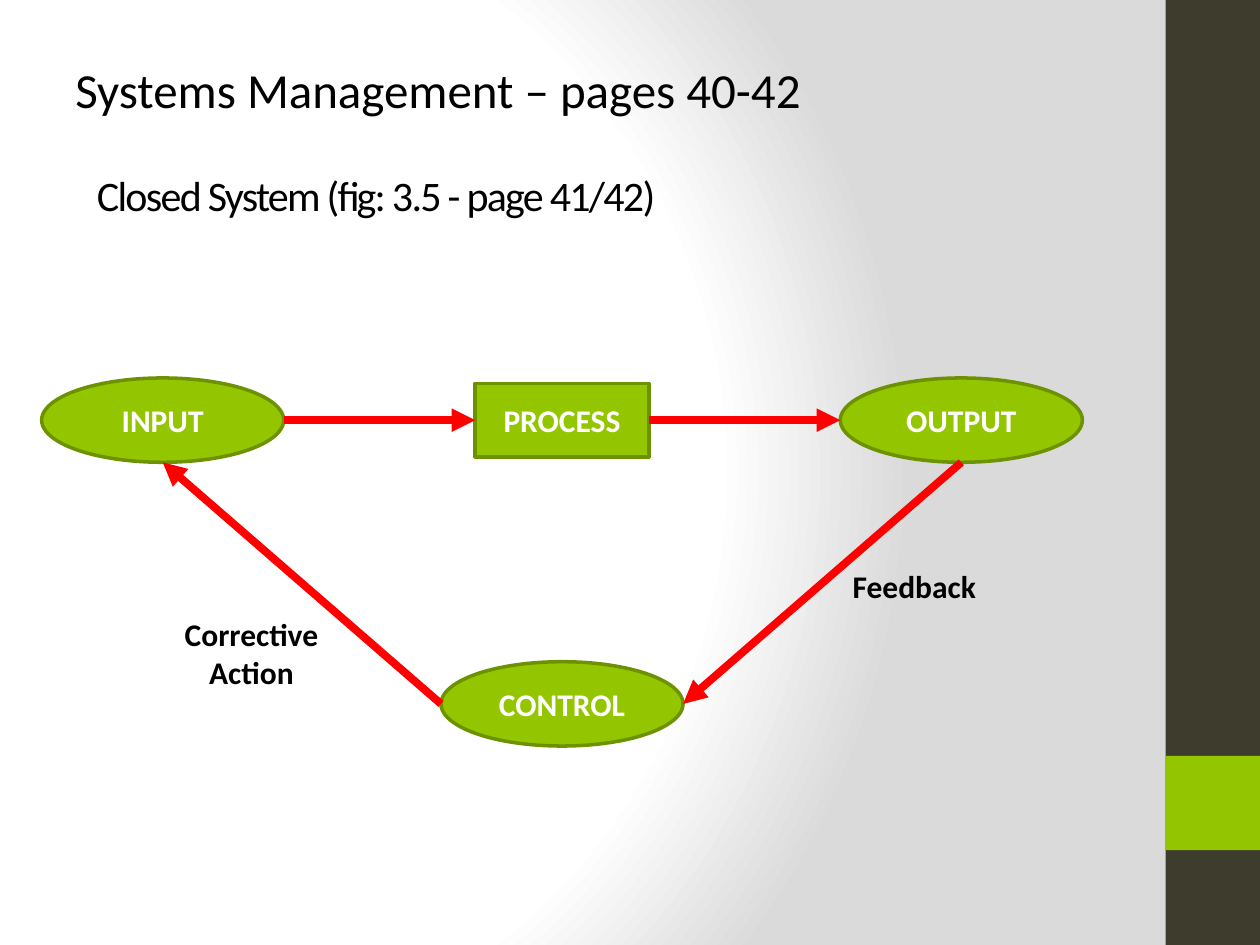
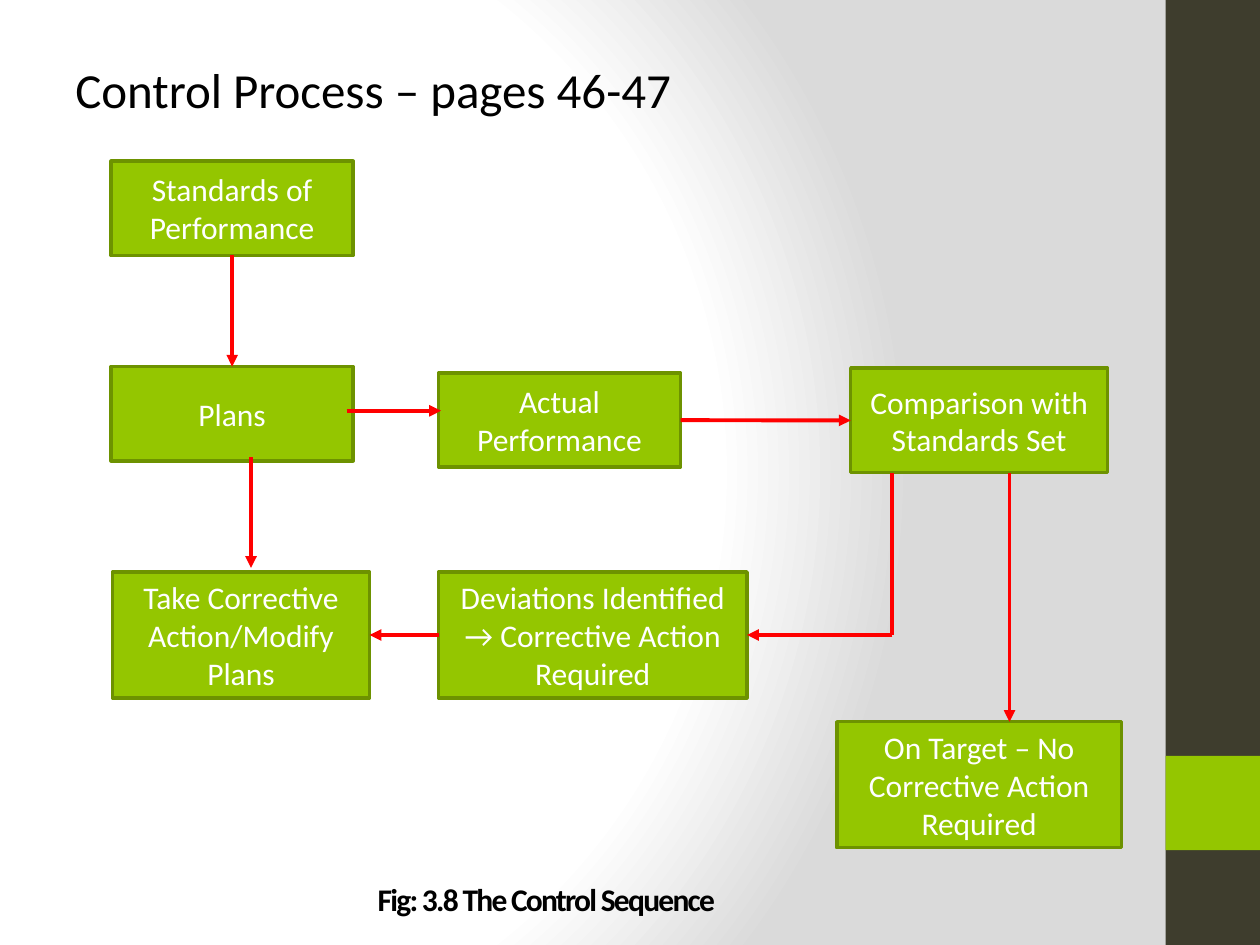
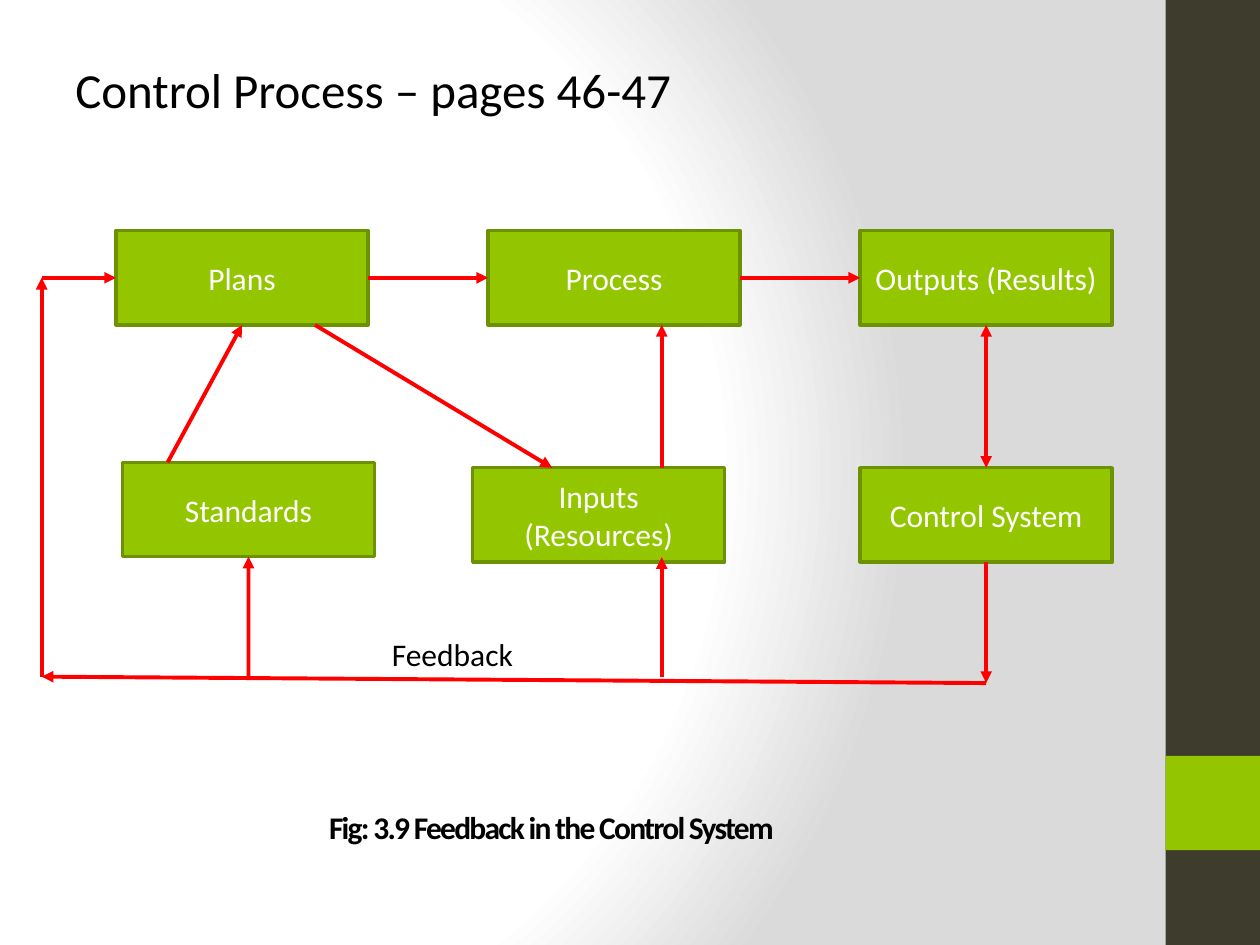
from dataclasses import dataclass

from lxml import etree
from pptx import Presentation
from pptx import util as u
from pptx.dml.color import RGBColor
from pptx.enum import shapes, text
from pptx.oxml import parse_xml
from pptx.oxml.ns import nsdecls, qn

RECT, OVAL = shapes.MSO_SHAPE.RECTANGLE, shapes.MSO_SHAPE.OVAL
LEFT, CENTER = text.PP_ALIGN.LEFT, text.PP_ALIGN.CENTER
TOP, MIDDLE = text.MSO_ANCHOR.TOP, text.MSO_ANCHOR.MIDDLE
# Connection sites of a rectangle
N, W, S, E = range(4)


@dataclass(frozen=True)
class Theme:
    font: str = "Calibri"
    ink: str = "000000"
    paper: str = "FFFFFF"
    shade: str = "DADADA"
    band: str = "3E3D2D"
    accent: str = "94C600"
    outline: str = "6D9200"
    arrow: str = "FF0000"
    heading: int = 28
    subtitle: int = 24
    body: int = 18
    outline_width: float = 2
    arrow_width: float = 2.25
    arrow_heavy: float = 4.5


@dataclass(frozen=True)
class Box:
    left: float
    top: float
    width: float
    height: float

    def lengths(self):
        return [u.Cm(v) for v in (self.left, self.top, self.width, self.height)]


THEME = Theme()
PAGE = Box(0, 0, 25.4, 19.05)
HEADING = Box(1.27, 1.07, 17.58, 2.11)


def rgb(color):
    return RGBColor.from_string(color)


def write(tf, content, *, size=THEME.body, color=THEME.ink, bold=False,
          align=LEFT, anchor=TOP, tracking=0, wrap=True):
    tf.word_wrap = wrap
    tf.auto_size = text.MSO_AUTO_SIZE.NONE
    tf.vertical_anchor = anchor
    for i, line in enumerate(content.split("\n")):
        p = tf.paragraphs[0] if i == 0 else tf.add_paragraph()
        p.alignment = align
        p.space_before = u.Pt(0)
        r = p.add_run()
        r.text = line
        r.font.name, r.font.size, r.font.bold = THEME.font, u.Pt(size), bold
        r.font.color.rgb = rgb(color)
        if tracking:
            r.font._element.set("spc", str(tracking * 100))


def add_text(slide, box, content, **fmt):
    write(slide.shapes.add_textbox(*box.lengths()).text_frame, content, **fmt)


def add_block(slide, box, fill, kind=RECT, outline=None):
    sp = slide.shapes.add_shape(kind, *box.lengths())
    sp.shadow.inherit = False
    sp.fill.solid()
    sp.fill.fore_color.rgb = rgb(fill)
    if outline:
        sp.line.color.rgb = rgb(outline)
        sp.line.width = u.Pt(THEME.outline_width)
    else:
        sp.line.fill.background()
    return sp


def style_background(master):
    master.background.fill.solid()
    solid = master.element.xpath("p:cSld/p:bg/p:bgPr/a:solidFill")[0]
    stops = "".join(
        f'<a:gs pos="{pos * 1000}"><a:srgbClr val="{color}"/></a:gs>'
        for pos, color in ((0, THEME.paper), (75, THEME.paper), (100, THEME.shade)))
    solid.getparent().replace(solid, parse_xml(
        f'<a:gradFill {nsdecls("a")} rotWithShape="1"><a:gsLst>{stops}</a:gsLst>'
        '<a:path path="circle"><a:fillToRect l="20000" t="50000" r="100000" b="50000"/>'
        '</a:path></a:gradFill>'))


def move_bands_to_master(slide, master):
    """Draw the side bands on a slide, then hand them to the master."""
    size = 1.9
    left = PAGE.width - size
    bands = ((Box(left, 0, size, PAGE.height), THEME.band),
             (Box(left, 15.24, size, size), THEME.accent))
    for shape_id, (box, fill) in enumerate(bands, start=101):
        sp = add_block(slide, box, fill)
        sp.element.xpath("p:nvSpPr/p:cNvPr")[0].set("id", str(shape_id))
        master.shapes.element.append(sp.element)


def add_titles(slide, heading, title, box, **fmt):
    sp = slide.shapes.title
    sp.left, sp.top, sp.width, sp.height = box.lengths()
    write(sp.text_frame, title, anchor=MIDDLE, tracking=-1, **fmt)
    add_text(slide, HEADING, heading, size=THEME.heading)


class Diagram:
    """Places nodes, labels and arrows relative to a box on a slide."""

    def __init__(self, slide, box):
        self.slide, self.box = slide, box

    def place(self, x, y, width, height):
        return Box(self.box.left + x, self.box.top + y, width, height)

    def node(self, content, x, y, width, height, kind=RECT, bold=False):
        sp = add_block(self.slide, self.place(x, y, width, height),
                       THEME.accent, kind, THEME.outline)
        write(sp.text_frame, content, color=THEME.paper, bold=bold,
              align=CENTER, anchor=MIDDLE)
        return sp

    def label(self, content, x, y, width, height, **fmt):
        add_text(self.slide, self.place(x, y, width, height), content,
                 wrap=False, **fmt)

    def locate(self, end):
        """Turn an (x, y) pair or a (shape, side) pair into slide lengths."""
        a, b = end
        if isinstance(a, (int, float)):
            return u.Cm(self.box.left + a), u.Cm(self.box.top + b)
        fx, fy = {N: (0.5, 0), W: (0, 0.5), S: (0.5, 1), E: (1, 0.5)}[b]
        return int(a.left + a.width * fx), int(a.top + a.height * fy)

    def arrow(self, start, end, width=THEME.arrow_width, heads=("tailEnd",)):
        cx = self.slide.shapes.add_connector(
            shapes.MSO_CONNECTOR.STRAIGHT, *self.locate(start), *self.locate(end))
        for (sp, side), connect in ((start, cx.begin_connect), (end, cx.end_connect)):
            if getattr(sp, "auto_shape_type", None) == RECT:
                connect(sp, side)
        cx.line.color.rgb = rgb(THEME.arrow)
        cx.line.width = u.Pt(width)
        for head in heads:
            etree.SubElement(cx.line._get_or_add_ln(), qn(f"a:{head}"), type="triangle")
        etree.SubElement(cx.element.spPr, qn("a:effectLst"))


def draw_closed_system(slide, box):
    d = Diagram(slide, box)
    oval_w, oval_h, rect_w, rect_h = 4.88, 1.7, 3.5, 1.48
    right = box.width - oval_w

    def oval(name, x, y):
        return d.node(name, x, y, oval_w, oval_h, OVAL, bold=True)

    source = oval("INPUT", 0, 0)
    output = oval("OUTPUT", right, 0)
    control = oval("CONTROL", right / 2, box.height - oval_h)
    process = d.node("PROCESS", (box.width - rect_w) / 2, (oval_h - rect_h) / 2,
                     rect_w, rect_h, bold=True)
    for start, end in (((source, E), (process, W)), ((process, E), (output, W)),
                       ((output, S), (control, E)), ((control, W), (source, S))):
        d.arrow(start, end, THEME.arrow_heavy)
    d.label("Feedback", 16.1, 3.68, 3.02, 1.02, bold=True)
    d.label("Corrective\nAction", 2.54, 4.65, 3.38, 1.8, bold=True, align=CENTER)


def draw_control_sequence(slide, box):
    d = Diagram(slide, box)
    small, tall = (4.88, 1.9), 2.54
    column, row = 6.6, 8.28
    drop_x, drop_y = 15.75, row + tall / 2
    compare_bottom = 6.28

    standards = d.node("Standards of Performance", 0, 0, *small)
    plans = d.node("Plans", 0, 4.14, *small)
    actual = d.node("Actual Performance", column, 4.27, *small)
    compare = d.node("Comparison with Standards Set", 14.91, 4.17, 5.18, 2.11)
    correct = d.node("Take Corrective Action/Modify Plans", 0.03, row, 5.18, tall)
    deviations = d.node("Deviations Identified → Corrective Action Required",
                        column, row, 6.22, tall)
    d.node("On Target – No Corrective Action Required",
           14.63, box.height - tall, 5.74, tall)

    for start, end in (((standards, S), (plans, N)),
                       ((18.11, compare_bottom), (18.11, box.height - tall)),
                       ((2.82, 5.97), (2.82, 8.2)),
                       ((actual, E), (compare, W)),
                       ((deviations, W), (correct, E)),
                       ((drop_x, drop_y), (deviations, E)),
                       ((4.75, 5.03), (6.65, 5.03))):
        d.arrow(start, end)
    d.arrow((drop_x, drop_y), (drop_x, compare_bottom), heads=())


def draw_feedback(slide, box):
    d = Diagram(slide, box)
    width, height = 5.08, 1.9
    lower, loop, entry = 4.78, 8.99, height / 2
    feed_x = 12.5

    def node(name, x, y):
        return d.node(name, x, y, width, height)

    plans, process, outputs = (
        node(name, 1.5 + 7.5 * i, 0)
        for i, name in enumerate(("Plans", "Process", "Outputs (Results)")))
    standards = node("Standards", 1.63, 4.67)
    node("Inputs (Resources)", 8.69, lower)
    control = node("Control System", 16.5, lower)
    corner = (16.5 + width / 2, box.height)

    for start, end in (((0, entry), (plans, W)),
                       ((2.54, 4.67), (plans, S)),
                       ((feed_x, lower), (feed_x, height)),
                       (corner, (0, loop)),
                       ((control, S), corner),
                       ((0, loop), (0, entry)),
                       ((5.51, height), (10.29, lower)),
                       ((plans, E), (process, W)),
                       ((process, E), (outputs, W)),
                       ((1.63 + width / 2, loop), (standards, S)),
                       ((feed_x, loop), (feed_x, 6.58))):
        d.arrow(start, end)
    d.arrow((outputs, S), (control, N), heads=("headEnd", "tailEnd"))
    d.label("Feedback", 6.81, 8.03, 2.97, 1.02)


def main():
    prs = Presentation()
    prs.slide_width, prs.slide_height = u.Cm(PAGE.width), u.Cm(PAGE.height)
    style_background(prs.slide_master)
    caption = dict(bold=True, align=CENTER)
    pages = (
        ("Systems Management – pages 40-42", "Closed System (fig: 3.5 - page 41/42)",
         Box(1.7, 3.18, 19.69, 1.47), dict(size=THEME.subtitle),
         draw_closed_system, Box(0.84, 7.62, 20.98, 7.42)),
        ("Control Process – pages 46-47", "Fig: 3.8 The Control Sequence",
         Box(1.17, 17.58, 19.69, 1.07), caption,
         draw_control_sequence, Box(2.24, 3.25, 20.37, 13.84)),
        ("Control Process – pages 46-47", "Fig: 3.9 Feedback in the Control System",
         Box(1.27, 16.08, 19.69, 1.17), caption,
         draw_feedback, Box(0.84, 4.65, 21.59, 9.12)),
    )
    for i, (heading, title, title_box, fmt, draw, box) in enumerate(pages):
        slide = prs.slides.add_slide(prs.slide_layouts.get_by_name("Title Only"))
        if i == 0:
            move_bands_to_master(slide, prs.slide_master)
        add_titles(slide, heading, title, title_box, **fmt)
        draw(slide, box)
    prs.save("out.pptx")


if __name__ == "__main__":
    main()
